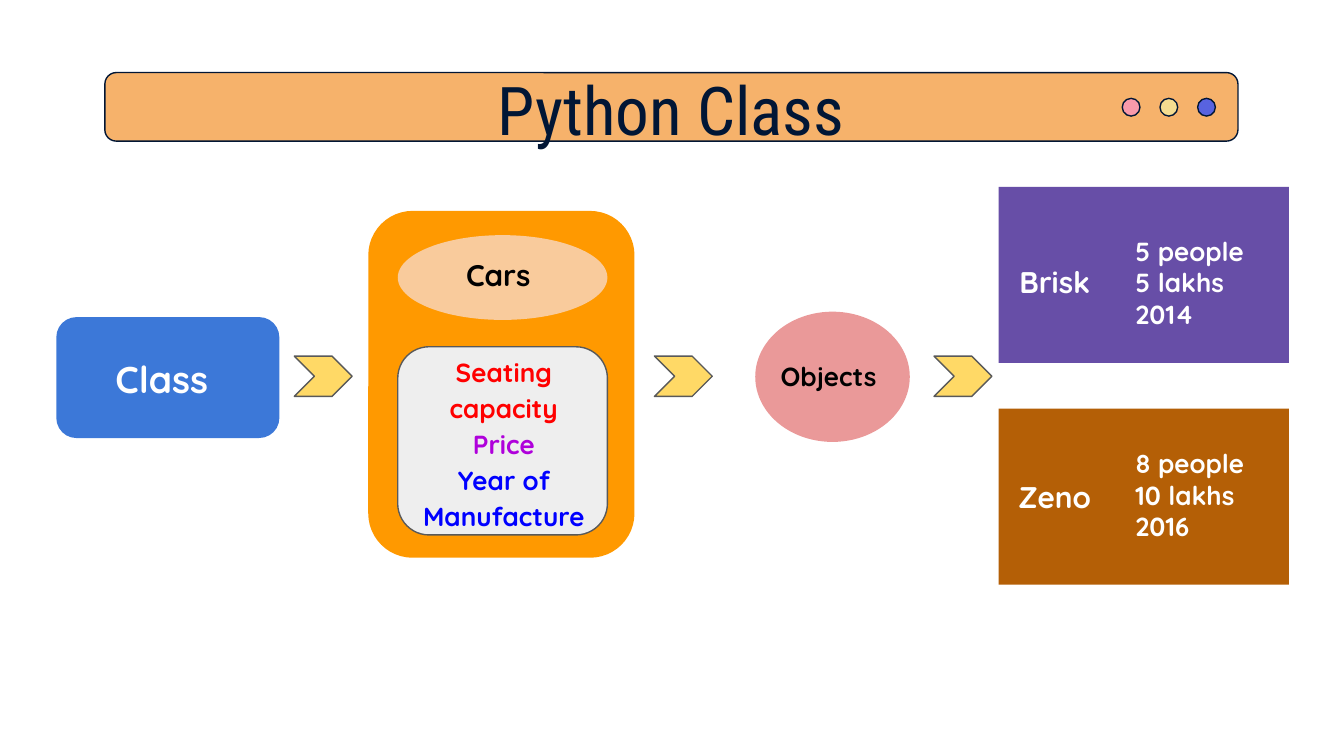
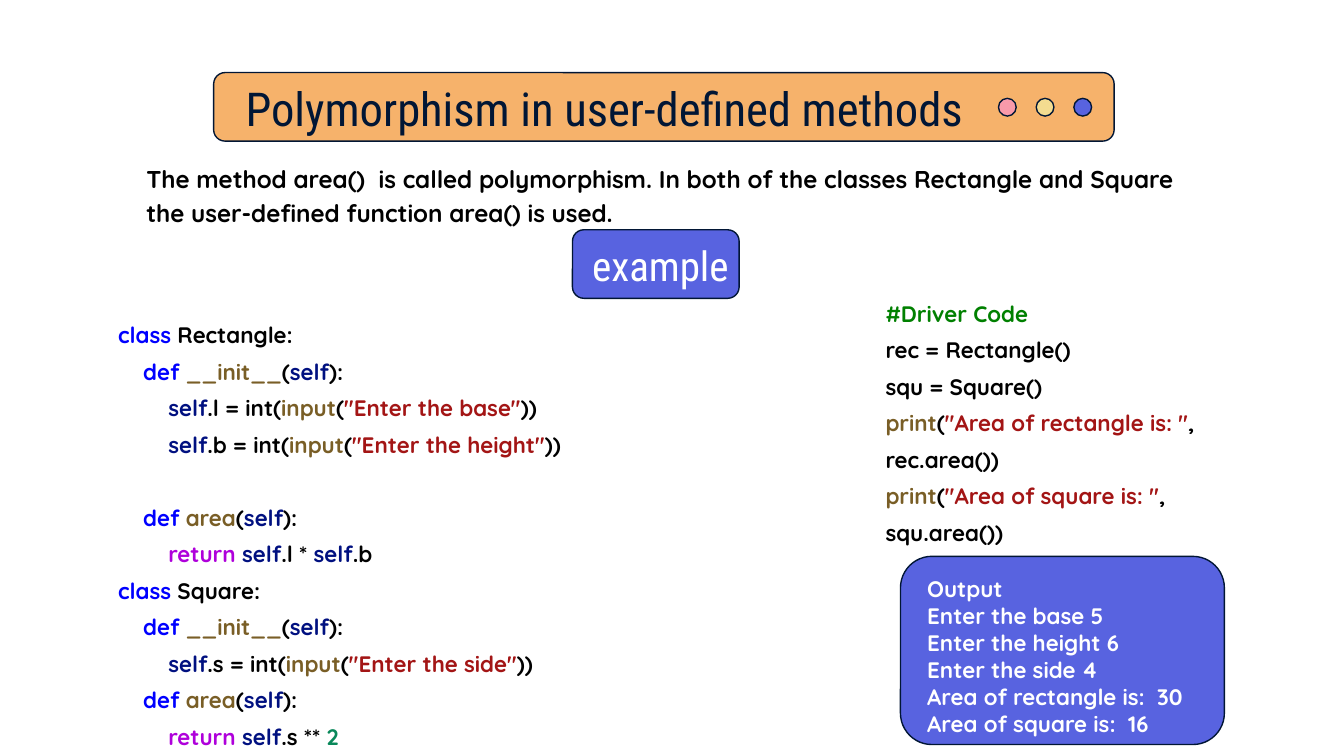
from pptx import Presentation
from pptx import util as u
from pptx.dml.color import RGBColor
from pptx.enum import shapes, text

HEADING_FONT, BODY_FONT = "Roboto Condensed", "Quicksand"
NAVY, INDIGO, BAND = "011635", "5863E0", "F6B26B"
BLACK, WHITE, GREY = "000000", "FFFFFF", "595959"
DOT_COLOURS = ("F99AAA", "F4DC90", INDIGO)
KIND = shapes.MSO_SHAPE
LEFT, CENTER = text.PP_ALIGN.LEFT, text.PP_ALIGN.CENTER
TOP, MIDDLE = text.MSO_ANCHOR.TOP, text.MSO_ANCHOR.MIDDLE

TOKEN_COLOURS = {
    "class": "0000FF", "def": "0000FF", "return": "AF00DB", "self": "001080", "2": "09885A",
    **dict.fromkeys(("__init__", "area", "input", "print"), "795E26"),
}
# Tokens are separated by "|"
CLASS_CODE = [
    'class| Rectangle:',
    '    |def| |__init__|(|self|):',
    '        |self|.l = int(|input|(|"Enter the base"|))',
    '        |self|.b = int(|input|(|"Enter the height"|))',
    '    |def| |area|(|self|):',
    '        |return| |self|.l * |self|.b',
    'class| Square:',
    '    |def| |__init__|(|self|):',
    '        |self|.s = int(|input|(|"Enter the side"|))',
    '    |def| |area|(|self|):',
    '        |return| |self|.s ** |2',
]
METHOD_GAP_LINE = 4
DRIVER_CODE = [
    '#Driver Code',
    'rec = Rectangle()',
    'squ = Square()',
    'print|(|"Area of rectangle is: "|, rec.area())',
    'print|(|"Area of square is: "|, squ.area())',
]
OUTPUT = ["Output", "Enter the base 5", "Enter the height 6", "Enter the side 4",
          "Area of rectangle is:  30", "Area of square is:  16"]


def colour(value):
    return RGBColor.from_string(value)


def add_block(page, kind, box, fill, line=None):
    block = page.shapes.add_shape(kind, *map(u.Pt, box))
    block.shadow.inherit = False
    block.fill.solid()
    block.fill.fore_color.rgb = colour(fill)
    if line:
        block.line.color.rgb = colour(line)
        block.line.width = u.Pt(0.75)
    else:
        block.line.fill.background()


def add_text(page, box, lines, size, font=BODY_FONT, align=LEFT, spacing=1.0,
             anchor=TOP, margin=7.2, wrap=True):
    """Each line is a list of (words, colour) spans."""
    frame = page.shapes.add_textbox(*map(u.Pt, box)).text_frame
    frame.word_wrap = wrap
    frame.vertical_anchor = anchor
    frame.margin_left = frame.margin_right = u.Pt(margin)
    frame.margin_top = frame.margin_bottom = u.Pt(margin)
    for number, line in enumerate(lines):
        para = frame.paragraphs[0] if number == 0 else frame.add_paragraph()
        para.alignment = align
        para.line_spacing = spacing
        for words, tint in line:
            span = para.add_run()
            span.text = words
            span.font.name = font
            span.font.size = u.Pt(size)
            span.font.bold = font == BODY_FONT
            span.font.color.rgb = colour(tint)
    return frame


def plain(lines, tint):
    return [[(line, tint)] for line in lines]


def token_colour(token):
    if token.startswith('"'):
        return "A31515"
    if token.startswith("#"):
        return "008000"
    return TOKEN_COLOURS.get(token, BLACK)


def add_code(page, box, lines):
    spans = [[(token, token_colour(token)) for token in line.split("|")] for line in lines]
    return add_text(page, box, spans, 12, spacing=1.36)


def add_title_band(page, left, width, title, size, title_left):
    top, height, dot = 38.9, 36.7, 9.5
    add_block(page, KIND.ROUNDED_RECTANGLE, (left, top, width, height), BAND, NAVY)
    for number, tint in enumerate(DOT_COLOURS):
        dot_left = left + width - 62 + 20.2 * number
        add_block(page, KIND.OVAL, (dot_left, top + 13.8, dot, dot), tint, NAVY)
    add_text(page, (title_left, top - 3.6, 504.7, 45.4), [[(title, NAVY)]], size,
             HEADING_FONT, CENTER, anchor=MIDDLE, margin=0)


def add_object_card(page, box, fill, name, details, name_drop, details_drop):
    left, top, width, height = box
    add_block(page, KIND.RECTANGLE, box, fill)
    add_text(page, (left - 25, top + name_drop, 110, 33.8), [[(name, WHITE)]], 16, align=CENTER)
    add_text(page, (left + 66.2, top + details_drop, 83.5, 70), plain(details, WHITE), 14)


def add_class_box(page, box):
    left, top, width, height = box
    add_block(page, KIND.ROUNDED_RECTANGLE, box, "3C78D8")
    add_text(page, (left + 24.5, top + 13.7, 90, 38.9), [[("Class", WHITE)]], 20)


def add_cars_panel(page, box):
    left, top, width, height = box
    inner_left, inner_width = left + 15.8, 112.3
    add_block(page, KIND.ROUNDED_RECTANGLE, box, "FF9900")
    # Class name
    add_block(page, KIND.OVAL, (inner_left, top + 13, inner_width, 45.4), "F9CB9C")
    add_text(page, (left + 45.3, top + 17.3, 64.8, 33.8), [[("Cars", BLACK)]], 16)
    # Attributes
    add_block(page, KIND.ROUNDED_RECTANGLE, (inner_left, top + 72.8, inner_width, 100.8),
              "EEEEEE", GREY)
    attributes = [[("Seating capacity", "FF0000")], [("Price", "AF00DB")],
                  [("Year of Manufacture", "0000FF")]]
    add_text(page, (inner_left + 0.7, top + 68.4, inner_width, 109.4), attributes, 14,
             align=CENTER, spacing=1.15)


def add_objects_oval(page, box):
    left, top, width, height = box
    add_block(page, KIND.OVAL, box, "EA9999")
    add_text(page, (left + 6.5, top + 18.8, 75.6, 31.7), [[("Objects", BLACK)]], 14)


def add_example_button(page, box):
    left, top, width, height = box
    add_block(page, KIND.ROUNDED_RECTANGLE, box, INDIGO, NAVY)
    add_text(page, (left + 10.5, top + 5, width - 12, 27.4), [[("example", WHITE)]], 22,
             HEADING_FONT, anchor=MIDDLE, margin=0, wrap=False)


def add_output_panel(page, box):
    left, top, width, height = box
    add_block(page, KIND.ROUNDED_RECTANGLE, box, INDIGO, NAVY)
    frame = add_text(page, (left + 7.2, top - 4.3, width, 109.4), plain(OUTPUT, WHITE), 12)
    frame.paragraphs[0].line_spacing = 1.5


def build_class_page(page):
    add_title_band(page, 56.2, 607, "Python Class", 36, 107.3)
    add_class_box(page, (30.2, 169.9, 119.5, 64.8))
    add_cars_panel(page, (197.3, 113, 142.6, 185.8))
    add_objects_oval(page, (404.6, 167, 82.8, 69.8))
    add_object_card(page, (535, 100.1, 155.5, 94.3), "674EA7", "Brisk",
                    ["5 people", "5 lakhs", "2014"], 33.8, 18.7)
    add_object_card(page, (535, 218.9, 155.5, 94.3), "B45F06", "Zeno",
                    ["8 people", "10 lakhs", "2016"], 30.2, 13.7)
    # Arrows between the stages
    for left in (157.7, 350.6, 500.4):
        add_block(page, KIND.CHEVRON, (left, 190.8, 31, 21.6), "FFD966", GREY)


def build_polymorphism_page(page):
    add_title_band(page, 114.5, 482.4, "Polymorphism in user-defined methods", 25, 71.3)
    intro = ("The method area()  is called polymorphism. In both of the classes Rectangle "
             "and Square the user-defined function area() is used.")
    add_text(page, (71.3, 78.5, 585.4, 48.2), [[(intro, BLACK)]], 13, spacing=1.15)
    add_example_button(page, (306.7, 123.1, 89.3, 36.7))
    # Code and its result
    code = add_code(page, (56.2, 159.8, 264.2, 245), CLASS_CODE)
    code.paragraphs[METHOD_GAP_LINE].space_before = u.Pt(19.5)
    add_code(page, (467.3, 148.3, 183.6, 147.6), DRIVER_CODE)
    add_output_panel(page, (482.4, 298.1, 173.5, 100.8))


def main():
    deck = Presentation()
    deck.slide_width, deck.slide_height = u.Pt(720), u.Pt(405)
    for build in (build_class_page, build_polymorphism_page):
        build(deck.slides.add_slide(deck.slide_layouts[6]))
    deck.save("out.pptx")


if __name__ == "__main__":
    main()
